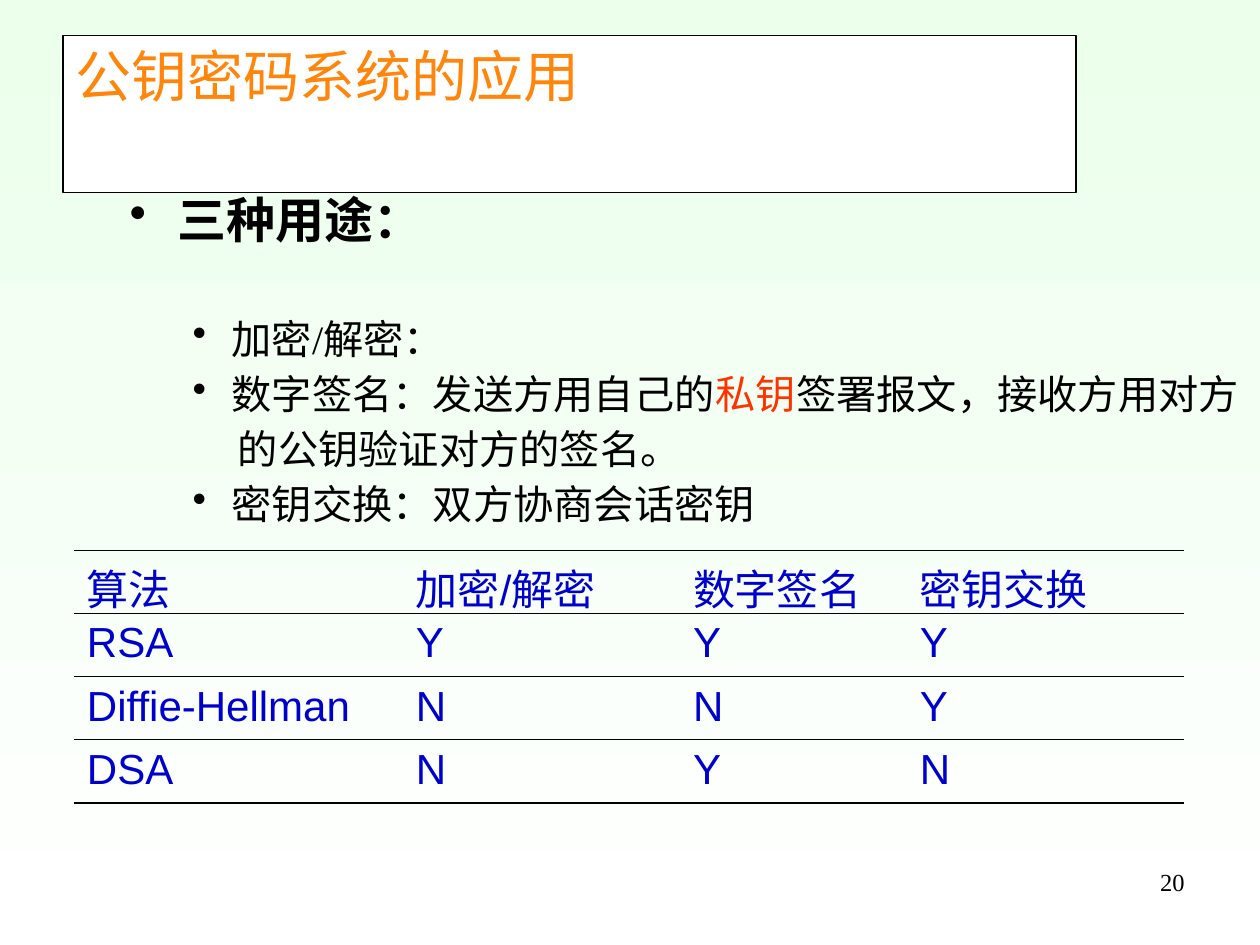
"""Build a slide on the uses of public-key cryptosystems."""
from dataclasses import dataclass
from typing import Any, NamedTuple

from lxml.etree import SubElement
from pptx import Presentation
from pptx.dml.color import RGBColor
from pptx.enum.text import PP_ALIGN
from pptx.oxml import parse_xml
from pptx.oxml.ns import nsdecls, qn
from pptx.util import Emu, Inches, Pt


@dataclass(frozen=True)
class Theme:
    """Colours, fonts and type sizes of the deck."""
    mint: str = "EBFFEB"
    white: str = "FFFFFF"
    black: str = "000000"
    orange: str = "FF850B"
    red: str = "FF3300"
    blue: str = "0000CC"
    serif: str = "Times New Roman"
    sans: str = "Arial"
    title: float = 32
    head: float = 28
    body: float = 23
    cell: float = 24
    page: float = 14
    thin: float = 0.45
    edge: float = 0.75
    thick: float = 1.08


class Box(NamedTuple):
    """A place on a grid of 100 columns by 75 rows."""
    col: float
    row: float
    wide: float
    high: float


class Run(NamedTuple):
    """A stretch of text in one colour."""
    text: str
    color: str


@dataclass(frozen=True)
class Item:
    """One paragraph of the list."""
    runs: tuple[Run, ...]
    left: float = 8.1
    hang: float = 3.1
    before: float = 11.5
    size: float = 23
    level: int = 1
    bold: bool = False


LOOK = Theme()
UNIT = Inches(0.1)
LINE = 20
TITLE = Box(5, 2.8, 80.4, 12.5)
LIST = Box(9.3, 16.4, 90.7, 28)
GRID = Box(5.9, 43.7, 88.1, 20)
PAGE = Box(71.7, 68.3, 23.3, 5)
COLS = (26.1, 22, 18, 22)
ITEMS = (
    Item((Run("三种用途：", LOOK.black),), 3.8, 3.8, 0, LOOK.head, 0, True),
    Item((Run("加密/解密：", LOOK.black),), before=45.5),
    Item((Run("数字签名：发送方用自己的", LOOK.black), Run("私钥", LOOK.red),
          Run("签署报文，接收方用对方", LOOK.black))),
    Item((Run("的公钥验证对方的签名。", LOOK.black),), left=8.6, hang=0),
    Item((Run("密钥交换：双方协商会话密钥", LOOK.black),)),
)
ROWS = (
    ("算法", "加密/解密", "数字签名", "密钥交换"),
    ("RSA", "Y", "Y", "Y"),
    ("Diffie-Hellman", "N", "N", "Y"),
    ("DSA", "N", "Y", "N"),
)


def span(count: float) -> Emu:
    """Turn grid units into a length."""
    return Emu(round(count * UNIT))


def write(para: Any, text: str, *, size: float, color: str,
          face: str = LOOK.serif, bold: bool = False,
          align: PP_ALIGN = PP_ALIGN.LEFT) -> None:
    """Add a formatted run to a paragraph."""
    para.alignment = align
    run = para.add_run()
    run.text = text
    font = run.font
    font.size, font.name, font.bold = Pt(size), face, bold
    font.color.rgb = RGBColor.from_string(color)


def frame(slide: Any, box: Box) -> Any:
    """Add a wrapping text box."""
    shape = slide.shapes.add_textbox(*map(span, box))
    shape.text_frame.word_wrap = True
    return shape


def indent(para: Any, item: Item) -> None:
    """Set the indent and bullet of a list paragraph."""
    props = para._p.get_or_add_pPr()
    props.set("marL", str(span(item.left)))
    props.set("indent", str(-span(item.hang)))
    if item.hang:
        tint = SubElement(props, qn("a:buClr"))
        SubElement(tint, qn("a:srgbClr"), val=LOOK.black)
        SubElement(props, qn("a:buChar"), char="•")
    else:
        SubElement(props, qn("a:buNone"))


def bullets(slide: Any, box: Box, items: tuple[Item, ...]) -> None:
    """Draw the list."""
    body = frame(slide, box).text_frame
    for num, item in enumerate(items):
        para = body.add_paragraph() if num else body.paragraphs[0]
        indent(para, item)
        para.level = item.level
        para.line_spacing = Pt(LINE)
        if num:
            para.space_before = Pt(item.before)
        for run in item.runs:
            write(para, run.text, size=item.size, color=run.color,
                  bold=item.bold)


def rule(cell: Any, top: float, base: float) -> None:
    """Set the cell borders, with open sides."""
    props = cell._tc.get_or_add_tcPr()
    sides = (("lnL", 0), ("lnR", 0), ("lnT", top), ("lnB", base))
    for spot, (tag, width) in enumerate(sides):
        fill = (f'<a:solidFill><a:srgbClr val="{LOOK.black}"/></a:solidFill>'
                if width else "<a:noFill/>")
        props.insert(spot, parse_xml(
            f'<a:{tag} {nsdecls("a")} w="{Pt(width)}">{fill}</a:{tag}>'))


def table(slide: Any, box: Box, rows: tuple[tuple[str, ...], ...]) -> None:
    """Draw the table of algorithms."""
    grid = slide.shapes.add_table(
        len(rows), len(COLS), *map(span, box)).table
    grid.first_row = grid.horz_banding = False
    for col, wide in zip(grid.columns, COLS):
        col.width = span(wide)
    last = len(rows) - 1
    for r, row in enumerate(rows):
        grid.rows[r].height = span(box.high / len(rows))
        for c, text in enumerate(row):
            cell = grid.cell(r, c)
            cell.fill.background()
            rule(cell, LOOK.thin if r else LOOK.thick,
                 LOOK.thick if r == last else LOOK.thin)
            write(cell.text_frame.paragraphs[0], text, size=LOOK.cell,
                  color=LOOK.blue, face=LOOK.sans)


def shade(slide: Any) -> None:
    """Fade the background from top to bottom."""
    fill = slide.background.fill
    fill.gradient()
    fill.gradient_angle = 270
    for stop, color, spot in zip(fill.gradient_stops,
                                 (LOOK.mint, LOOK.white), (0, 1)):
        stop.color.rgb = RGBColor.from_string(color)
        stop.position = spot


def main() -> None:
    """Build and save the slide."""
    deck = Presentation()
    deck.slide_width, deck.slide_height = span(100), span(75)
    slide = deck.slides.add_slide(deck.slide_layouts[6])
    shade(slide)
    head = frame(slide, TITLE)
    head.fill.solid()
    head.fill.fore_color.rgb = RGBColor.from_string(LOOK.white)
    head.line.color.rgb = RGBColor.from_string(LOOK.black)
    head.line.width = Pt(LOOK.edge)
    write(head.text_frame.paragraphs[0], "公钥密码系统的应用",
          size=LOOK.title, color=LOOK.orange)
    bullets(slide, LIST, ITEMS)
    table(slide, GRID, ROWS)
    write(frame(slide, PAGE).text_frame.paragraphs[0], "20",
          size=LOOK.page, color=LOOK.black, align=PP_ALIGN.RIGHT)
    deck.save("out.pptx")


if __name__ == "__main__":
    main()
